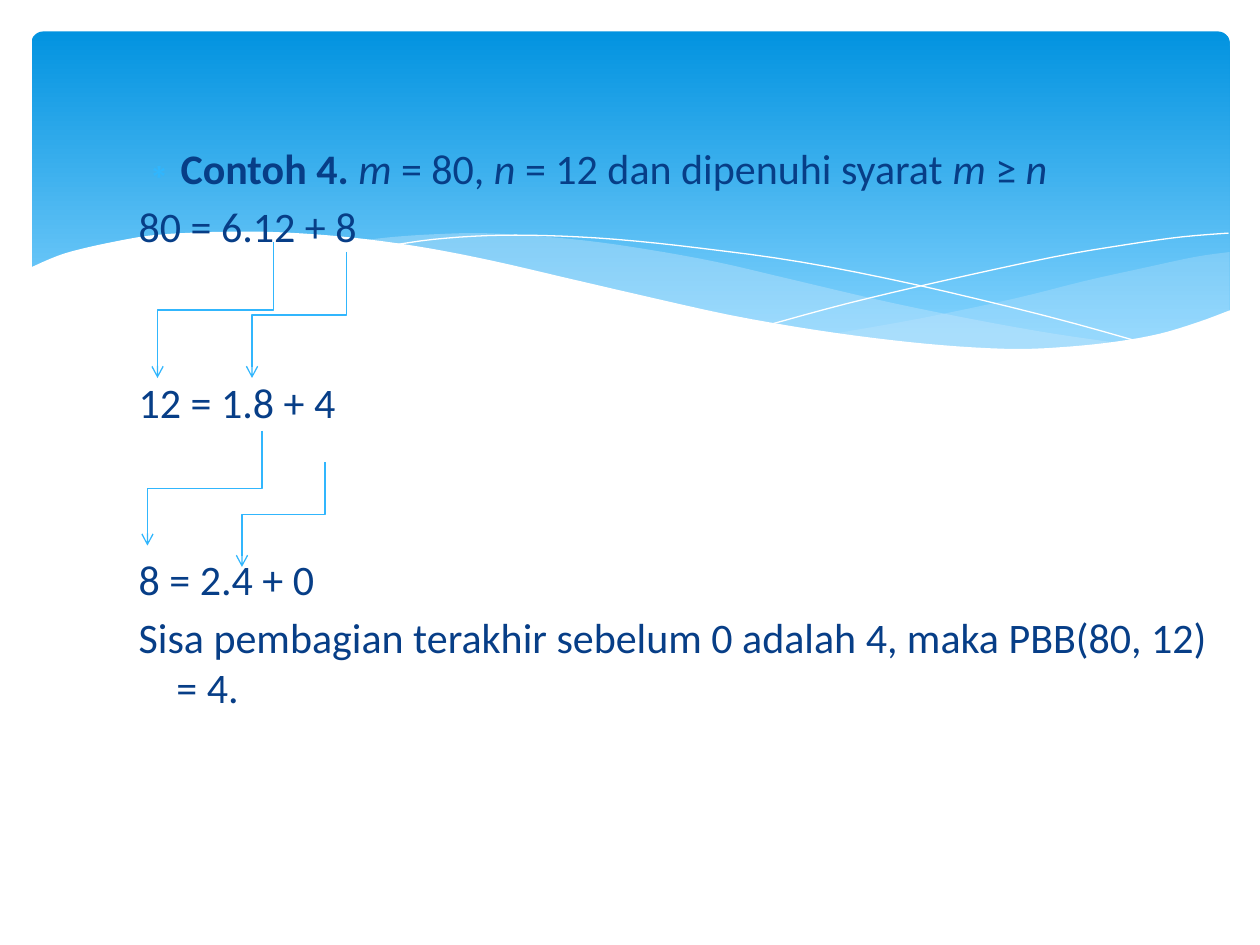
import dataclasses

import lxml.etree
import pptx
import pptx.dml.color
import pptx.enum.shapes
import pptx.enum.text
import pptx.oxml.ns
import pptx.util

Inches = pptx.util.Inches
Pt = pptx.util.Pt
qn = pptx.oxml.ns.qn


def rgb(value):
    return pptx.dml.color.RGBColor.from_string(value)


@dataclasses.dataclass(frozen=True)
class Theme:
    font: str = "Calibri"
    text: str = "073E87"
    accent: str = "31B6FD"
    band_top: str = "0293E0"
    band_bottom: str = "83D3FE"
    wave: str = "C6E7FC"
    white: str = "FFFFFF"
    body_size: float = 24
    line_gap: float = 4.4
    step_gap: float = 72
    arrow_width: float = 0.75


THEME = Theme()

RIGHT_WAVE_TOP = [(9.76, 2), (9.48, 2.04), (9.06, 2.13), (8.61, 2.23),
                  (8.05, 2.37), (7.29, 2.53), (6.61, 2.65)]
RIGHT_WAVE_BOTTOM = [(6.61, 2.65), (7.05, 2.71), (7.57, 2.76), (8.03, 2.78),
                     (8.54, 2.76), (8.97, 2.7), (9.35, 2.62), (9.76, 2.47)]
LONG_WAVE_TOP = [(8.93, 2.73), (8.37, 2.65), (7.75, 2.54), (7.06, 2.4),
                 (6.29, 2.22), (5.69, 2.08), (5.14, 1.98), (4.65, 1.91),
                 (4.2, 1.87), (3.8, 1.85), (3.44, 1.86), (3.13, 1.88), (2.86, 1.91)]
LONG_WAVE_BOTTOM = [(2.86, 1.91), (3.42, 1.99), (4.04, 2.11), (4.49, 2.22),
                    (5.3, 2.4), (6.01, 2.55), (6.65, 2.66), (7.22, 2.74),
                    (7.73, 2.77), (8.18, 2.78), (8.57, 2.77), (8.93, 2.73)]
FALLING_LINE = [(3.09, 1.95), (3.44, 1.9), (3.87, 1.87), (4.33, 1.87), (4.89, 1.9),
                (5.56, 1.97), (6.36, 2.08), (7.27, 2.26), (8.31, 2.51), (9.07, 2.72)]
RISING_LINE = [(6.13, 2.57), (6.72, 2.41), (7.48, 2.23), (8.36, 2.04),
               (8.95, 1.94), (9.38, 1.88), (9.75, 1.85)]
PAGE_EDGE = [(9.77, 2.46), (9.5, 2.56), (9.2, 2.65), (8.87, 2.71), (8.5, 2.75),
             (8.09, 2.77), (7.61, 2.75), (7.08, 2.7), (6.48, 2.62), (5.79, 2.5),
             (5.03, 2.33), (4.47, 2.2), (3.91, 2.07), (3.4, 1.97), (2.92, 1.9),
             (2.5, 1.86), (2.11, 1.84), (1.77, 1.84), (1.46, 1.85), (1.19, 1.87),
             (0.95, 1.91), (0.67, 1.97), (0.46, 2.03), (0.23, 2.13)]
PAGE_CORNERS = [(0.23, 3.29), (9.77, 3.29)]

STEP_ARROWS = [((2.17, 1.92), (1.25, 3)), ((2.75, 2), (2, 3)),
               ((2.08, 3.42), (1.17, 4.33)), ((2.58, 3.67), (1.92, 4.5))]

CONDITION = [("Contoh 4. ", "b"), ("m", "i"), (" = 80, ", ""), ("n", "i"),
             (" = 12 dan dipenuhi syarat ", ""), ("m ", "i"), ("≥ ", ""), ("n", "i")]
EXAMPLE = [
    (CONDITION, THEME.line_gap),
    ([("80 = 6.12 + 8", "")], THEME.line_gap),
    ([("12 = 1.8 + 4", "")], THEME.step_gap),
    ([("8 = 2.4 + 0", "")], THEME.step_gap),
    ([("Sisa pembagian terakhir sebelum 0 adalah 4, maka PBB(80, 12) = 4.", "")],
     THEME.line_gap),
]


def smooth(knots, steps=4):
    padded = [knots[0], *knots, knots[-1]]
    curve = [knots[0]]
    for a, b, c, d in zip(padded, padded[1:], padded[2:], padded[3:]):
        for step in range(1, steps + 1):
            t = step / steps
            curve.append(tuple(
                (2 * q + (r - p) * t + (2 * p - 5 * q + 4 * r - s) * t ** 2
                 + (3 * q - p - 3 * r + s) * t ** 3) / 2
                for p, q, r, s in zip(a, b, c, d)))
    return curve


def add_outline(slide, points, closed):
    emu = [(Inches(x), Inches(y)) for x, y in points]
    builder = slide.shapes.build_freeform(*emu[0])
    builder.add_line_segments(emu[1:], close=closed)
    outline = builder.convert_to_shape()
    outline.shadow.inherit = False
    return outline


def add_area(slide, points, color, opacity=100):
    area = add_outline(slide, points, True)
    area.fill.solid()
    area.fill.fore_color.rgb = rgb(color)
    area.line.fill.background()
    if opacity < 100:
        tint = next(area.element.spPr.iter(qn("a:srgbClr")))
        lxml.etree.SubElement(tint, qn("a:alpha")).set("val", str(opacity * 1000))


def add_hairline(slide, points):
    hairline = add_outline(slide, points, False)
    hairline.fill.background()
    hairline.line.color.rgb = rgb(THEME.white)
    hairline.line.width = Pt(0)


def add_backdrop(slide, left, top, width, height):
    band = slide.shapes.add_shape(
        pptx.enum.shapes.MSO_SHAPE.ROUNDED_RECTANGLE, left, top, width, height)
    band.adjustments[0] = 0.034
    band.shadow.inherit = False
    band.line.fill.background()
    band.fill.gradient()
    band.fill.gradient_angle = 270
    stops = ((0, THEME.band_top), (0.9, THEME.band_bottom))
    for stop, (position, color) in zip(band.fill.gradient_stops, stops):
        stop.position = position
        stop.color.rgb = rgb(color)

    add_area(slide, smooth(RIGHT_WAVE_TOP) + smooth(RIGHT_WAVE_BOTTOM), THEME.wave, 29)
    add_area(slide, smooth(LONG_WAVE_TOP) + smooth(LONG_WAVE_BOTTOM), THEME.wave, 40)
    add_hairline(slide, smooth(FALLING_LINE))
    add_hairline(slide, smooth(RISING_LINE))
    add_area(slide, smooth(PAGE_EDGE) + PAGE_CORNERS, THEME.white)


def set_bullet(paragraph, mark=None):
    properties = paragraph._p.get_or_add_pPr()
    properties.set("marL", str(Inches(0.3)))
    properties.set("indent", str(-Inches(0.3)))
    if mark is None:
        lxml.etree.SubElement(properties, qn("a:buNone"))
        return
    color = lxml.etree.SubElement(properties, qn("a:buClr"))
    lxml.etree.SubElement(color, qn("a:srgbClr")).set("val", THEME.accent)
    lxml.etree.SubElement(properties, qn("a:buChar")).set("char", mark)


def add_example(slide, left, top, width, height):
    body = slide.placeholders[1]
    body.left, body.top, body.width, body.height = left, top, width, height
    body.element.getparent().append(body.element)
    frame = body.text_frame
    frame.word_wrap = True
    frame.auto_size = pptx.enum.text.MSO_AUTO_SIZE.NONE
    frame.vertical_anchor = pptx.enum.text.MSO_ANCHOR.TOP
    for index, (runs, gap) in enumerate(EXAMPLE):
        paragraph = frame.add_paragraph() if index else frame.paragraphs[0]
        paragraph.space_before = Pt(gap)
        set_bullet(paragraph, None if index else "∗")
        for text, style in runs:
            run = paragraph.add_run()
            run.text = text
            run.font.name = THEME.font
            run.font.size = Pt(THEME.body_size)
            run.font.color.rgb = rgb(THEME.text)
            run.font.bold = style == "b"
            run.font.italic = style == "i"


def add_step_arrow(slide, start, end):
    (x1, y1), (x2, y2) = start, end
    middle_x, middle_y = (x1 + x2) / 2, (y1 + y2) / 2
    half_drop, half_shift = (y2 - y1) / 2, (x1 - x2) / 2
    arrow = slide.shapes.add_connector(
        pptx.enum.shapes.MSO_CONNECTOR.ELBOW,
        Inches(middle_x - half_drop), Inches(middle_y - half_shift),
        Inches(middle_x + half_drop), Inches(middle_y + half_shift))
    arrow.line.color.rgb = rgb(THEME.accent)
    arrow.line.width = Pt(THEME.arrow_width)
    properties = arrow.element.spPr
    properties.find(qn("a:xfrm")).set("rot", "5400000")
    line = properties.find(qn("a:ln"))
    lxml.etree.SubElement(line, qn("a:tailEnd")).set("type", "arrow")
    lxml.etree.SubElement(properties, qn("a:effectLst"))


def main():
    deck = pptx.Presentation()
    deck.slide_width, deck.slide_height = Inches(10), Inches(7.5)
    slide = deck.slides.add_slide(deck.slide_layouts[1])
    title = slide.shapes.title.element
    title.getparent().remove(title)
    add_backdrop(slide, Inches(0.25), Inches(0.25), Inches(9.51), Inches(2.7))
    add_example(slide, Inches(1), Inches(1.08), Inches(8.77), Inches(5.42))
    for start, end in STEP_ARROWS:
        add_step_arrow(slide, start, end)
    deck.save("out.pptx")


if __name__ == "__main__":
    main()
